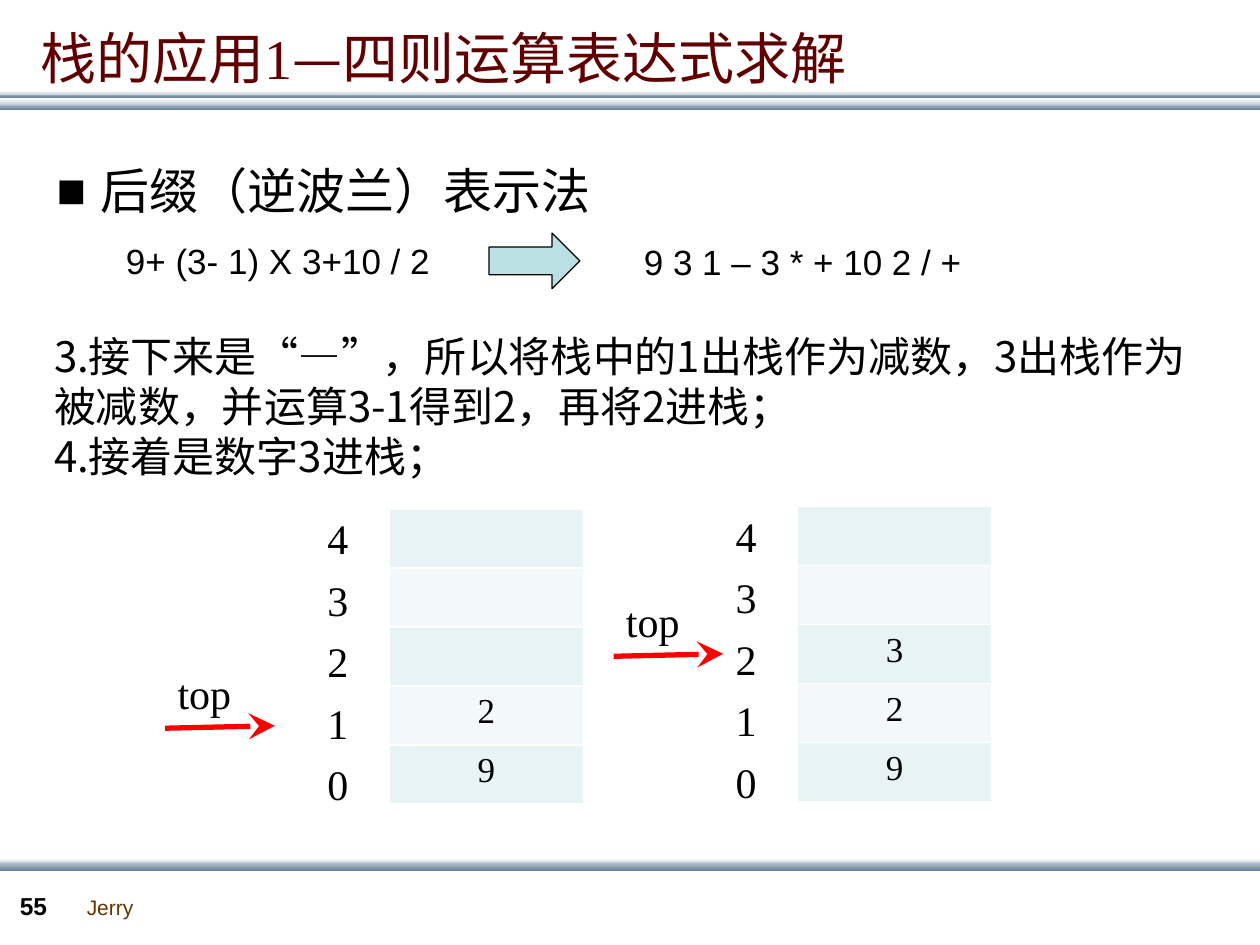
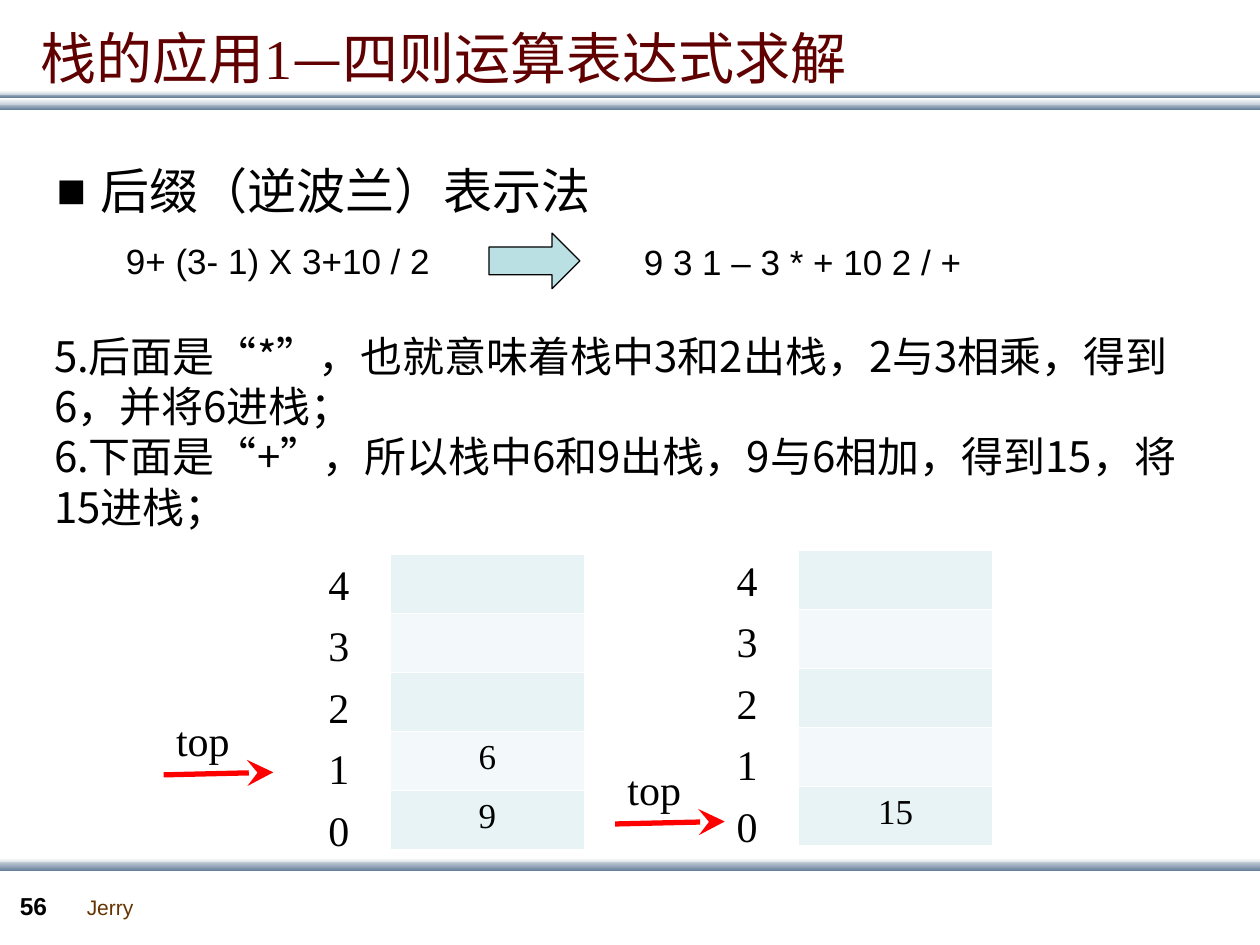
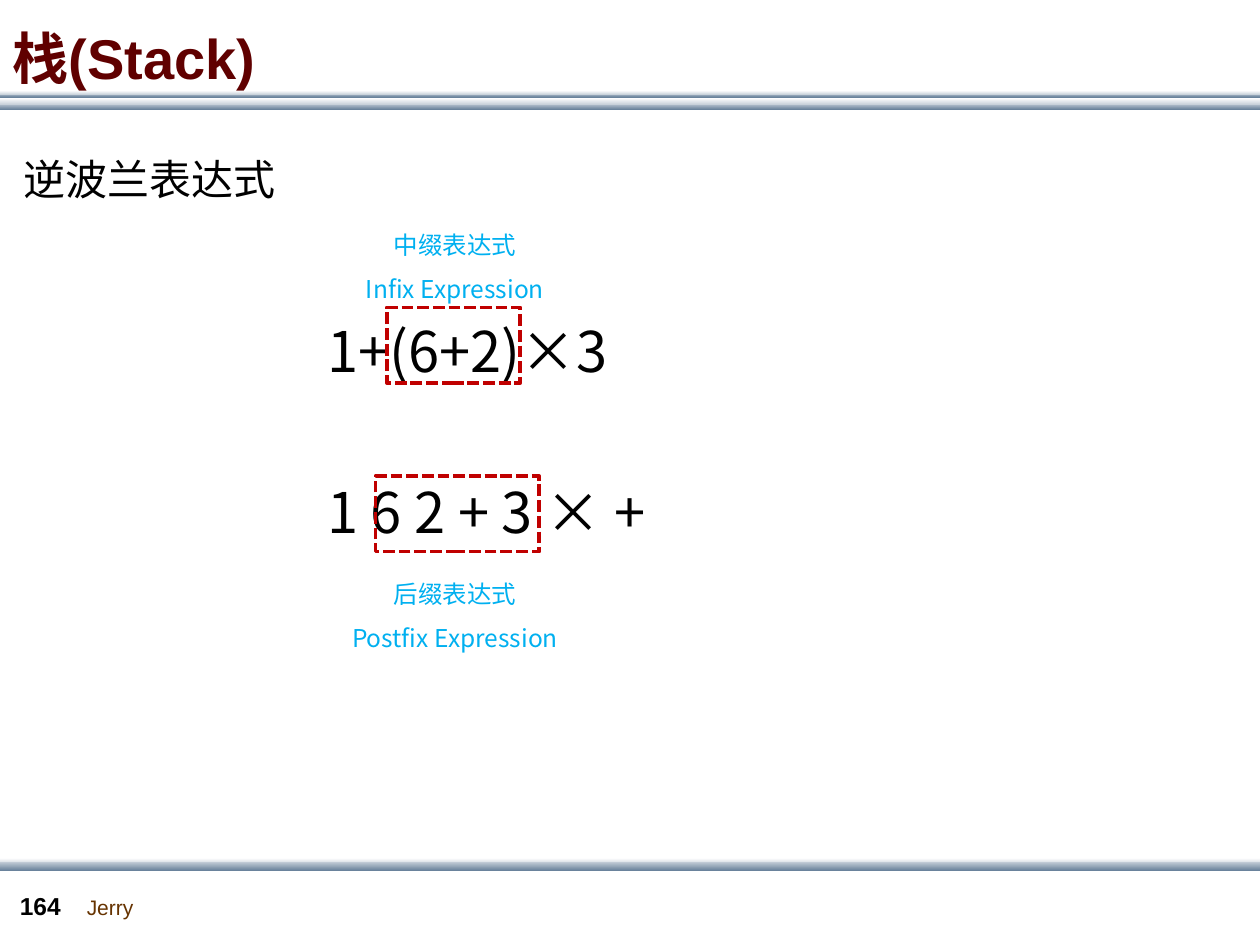
"""Builds three slides on evaluating postfix expressions with a stack."""
from lxml import etree
from pptx import Presentation
from pptx.dml.color import RGBColor
from pptx.enum import dml, shapes, text
from pptx.oxml.ns import qn
from pptx.util import Cm, Pt

BLACK = RGBColor(0x00, 0x00, 0x00)
WHITE = RGBColor(0xFF, 0xFF, 0xFF)
MAROON = RGBColor(0x60, 0x00, 0x00)
BROWN = RGBColor(0x66, 0x33, 0x00)
RED = RGBColor(0xFF, 0x00, 0x00)
DARK_RED = RGBColor(0xC0, 0x00, 0x00)
SKY = RGBColor(0x00, 0xB0, 0xF0)
TEAL = RGBColor(0xBB, 0xE0, 0xE3)
MIST = RGBColor(0xC8, 0xD1, 0xDA)
SLATE = RGBColor(0x6A, 0x83, 0x9C)
ROW_FILLS = (RGBColor(0xE7, 0xF3, 0xF4), RGBColor(0xF3, 0xF9, 0xFA))

SANS, SERIF, CJK = "Arial", "Times New Roman", "Noto Sans CJK SC"
LEFT, CENTER = text.PP_ALIGN.LEFT, text.PP_ALIGN.CENTER

BANDS = (
    (2.08, 0.13, MIST, SLATE),
    (1.88, 0.08, MIST, SLATE),
    (1.98, 0.13, WHITE, MIST),
    (1.83, 0.08, WHITE, MIST),
    (17.3, 0.13, WHITE, MIST),
    (17.37, 0.18, MIST, SLATE),
)
STACK_SIZE = 5


def add_run(p, txt, size=24, font=CJK, color=BLACK, bold=False):
    r = p.add_run()
    r.text = txt
    r.font.size = Pt(size)
    r.font.bold = bold
    r.font.color.rgb = color
    r.font.name = font
    etree.SubElement(r.font._element, qn("a:ea"), typeface=CJK)


class Deck:
    def __init__(self):
        self.prs = Presentation()
        self.prs.slide_width, self.prs.slide_height = Cm(25.4), Cm(19.05)
        self.s = None

    def slide(self, number, title_runs, x, bold=False):
        self.s = self.prs.slides.add_slide(self.prs.slide_layouts[5])
        for top, height, start, end in BANDS:
            self.band(top, height, start, end)
        self.text("Jerry", 1.5, 17.91, 1.45, 0.76, size=12, font=SANS,
                  color=BROWN, wrap=False)
        self.text(str(number), 0.15, 17.83, 1.4, 0.84, size=14, font=SANS, bold=True)
        self.title(title_runs, x, bold)

    def title(self, runs, x, bold):
        sp = self.s.shapes.title
        sp.left, sp.top, sp.width, sp.height = Cm(x), Cm(0.46), Cm(24.4), Cm(1.4)
        tf = sp.text_frame
        tf.auto_size = text.MSO_AUTO_SIZE.NONE
        tf.vertical_anchor = text.MSO_ANCHOR.MIDDLE
        p = tf.paragraphs[0]
        p.alignment = LEFT
        for txt, font in runs:
            add_run(p, txt, size=32, font=font, color=MAROON, bold=bold)

    def shape(self, kind, x, y, w, h):
        sp = self.s.shapes.add_shape(kind, Cm(x), Cm(y), Cm(w), Cm(h))
        sp.shadow.inherit = False
        return sp

    def band(self, top, height, start, end):
        sp = self.shape(shapes.MSO_SHAPE.RECTANGLE, 0, top, 25.43, height)
        sp.line.fill.background()
        sp.fill.gradient()
        sp.fill.gradient_angle = 270
        for stop, color in zip(sp.fill.gradient_stops, (start, end)):
            stop.color.rgb = color

    def text(self, txt, x, y, w, h, align=LEFT, wrap=True, leading=None,
             bullet=None, **fmt):
        tf = self.s.shapes.add_textbox(Cm(x), Cm(y), Cm(w), Cm(h)).text_frame
        tf.word_wrap = wrap
        for i, line in enumerate(txt.split("\n")):
            p = tf.add_paragraph() if i else tf.paragraphs[0]
            p.alignment = align
            if bullet:
                pPr = p._p.get_or_add_pPr()
                pPr.set("marL", str(Cm(1.22)))
                pPr.set("indent", str(Cm(-0.89)))
                etree.SubElement(pPr, qn("a:buFont"), typeface=SANS)
                etree.SubElement(pPr, qn("a:buChar"), char=bullet)
            if leading:
                p.line_spacing = Pt(leading)
            add_run(p, line, **fmt)

    def block_arrow(self, x, y, w, h):
        sp = self.shape(shapes.MSO_SHAPE.RIGHT_ARROW, x, y, w, h)
        sp.fill.solid()
        sp.fill.fore_color.rgb = TEAL
        sp.line.color.rgb = BLACK
        sp.line.width = Pt(0.75)

    def dashed_box(self, x, y, w, h):
        sp = self.shape(shapes.MSO_SHAPE.RECTANGLE, x, y, w, h)
        sp.fill.background()
        sp.line.color.rgb = DARK_RED
        sp.line.width = Pt(2.25)
        sp.line.dash_style = dml.MSO_LINE.SQUARE_DOT

    def pointer(self, x, y):
        sp = self.s.shapes.add_connector(
            shapes.MSO_CONNECTOR.STRAIGHT, Cm(x), Cm(y), Cm(x + 2.21), Cm(y - 0.05))
        sp.line.color.rgb = RED
        sp.line.width = Pt(3)
        spPr = sp._element.spPr
        etree.SubElement(spPr.find(qn("a:ln")), qn("a:tailEnd"),
                         type="stealth", w="lg", len="lg")
        etree.SubElement(spPr, qn("a:effectLst"))
        self.text("top", x, y - 1.35, 1.7, 1.3, font=SERIF)

    def stack(self, x, y, values):
        for i in range(STACK_SIZE):
            self.text(str(STACK_SIZE - 1 - i), x - 1.5, y - 0.05 + 1.24 * i,
                      1.17, 1.3, font=SERIF)
        table = self.s.shapes.add_table(
            STACK_SIZE, 1, Cm(x), Cm(y), Cm(3.91), Cm(1.19 * STACK_SIZE)).table
        table.first_row = False
        cells = [""] * (STACK_SIZE - len(values)) + values
        for i, value in enumerate(cells):
            cell = table.cell(i, 0)
            cell.fill.solid()
            cell.fill.fore_color.rgb = ROW_FILLS[i % 2]
            if value:
                p = cell.text_frame.paragraphs[0]
                p.alignment = CENTER
                add_run(p, value, size=20, font=SERIF)

    def stack_slide(self, number, steps, stacks):
        self.slide(number, (("栈的应用", CJK), ("1", SERIF),
                            ("—四则运算表达式求解", CJK)), 0.56)
        self.text("后缀（逆波兰）表示法", 0.56, 3.12, 22.86, 1.57, size=28,
                  bullet="■", leading=33.6)
        self.text("9+ (3- 1) X 3+10 / 2", 2.29, 4.7, 6.68, 1.12, size=20,
                  font=SANS, wrap=False)
        self.text("9 3 1 – 3 * + 10 2 / +", 12.73, 4.72, 10.57, 1.12, size=20, font=SANS)
        self.block_arrow(9.86, 4.7, 1.83, 1.12)
        self.text(steps, 0.84, 6.53, 23.39, 3.33, leading=28.8)
        for table_at, values, pointer_at in stacks:
            self.pointer(*pointer_at)
            self.stack(*table_at, values)

    def expression(self, txt, y, box, label, label_y):
        self.text(txt, 6.35, y, 9.27, 1.63, size=32, leading=38.4)
        self.dashed_box(*box)
        self.text(label, 4.88, label_y, 8.59, 1.91, align=CENTER, size=14,
                  color=SKY, leading=25.2)


def main():
    deck = Deck()
    deck.stack_slide(
        55,
        "3.接下来是“—”，所以将栈中的1出栈作为减数，3出栈作为被减数，并运算3-1得到2，再将2进栈；\n"
        "4.接着是数字3进栈；",
        (((7.85, 10.26), ["2", "9"], (3.33, 14.68)),
         ((16.08, 10.21), ["3", "2", "9"], (12.37, 13.23))))
    deck.stack_slide(
        56,
        "5.后面是“*”，也就意味着栈中3和2出栈，2与3相乘，得到6，并将6进栈；\n"
        "6.下面是“+”，所以栈中6和9出栈，9与6相加，得到15，将15进栈；",
        (((7.87, 11.18), ["6", "9"], (3.3, 15.62)),
         ((16.1, 11.1), ["15"], (12.4, 16.61))))

    deck.slide(164, (("栈", CJK), ("(Stack)", SANS)), 0, bold=True)
    deck.text("逆波兰表达式", 0.23, 2.46, 6.43, 1.55, leading=43.2)
    deck.expression("1+(6+2)×3", 6.25, (7.8, 6.2, 2.69, 1.52),
                    "中缀表达式\nInfix Expression", 4.22)
    deck.expression("1 6 2 + 3 × +", 9.5, (7.57, 9.6, 3.3, 1.52),
                    "后缀表达式\nPostfix Expression", 11.25)
    deck.prs.save("out.pptx")


if __name__ == "__main__":
    main()
